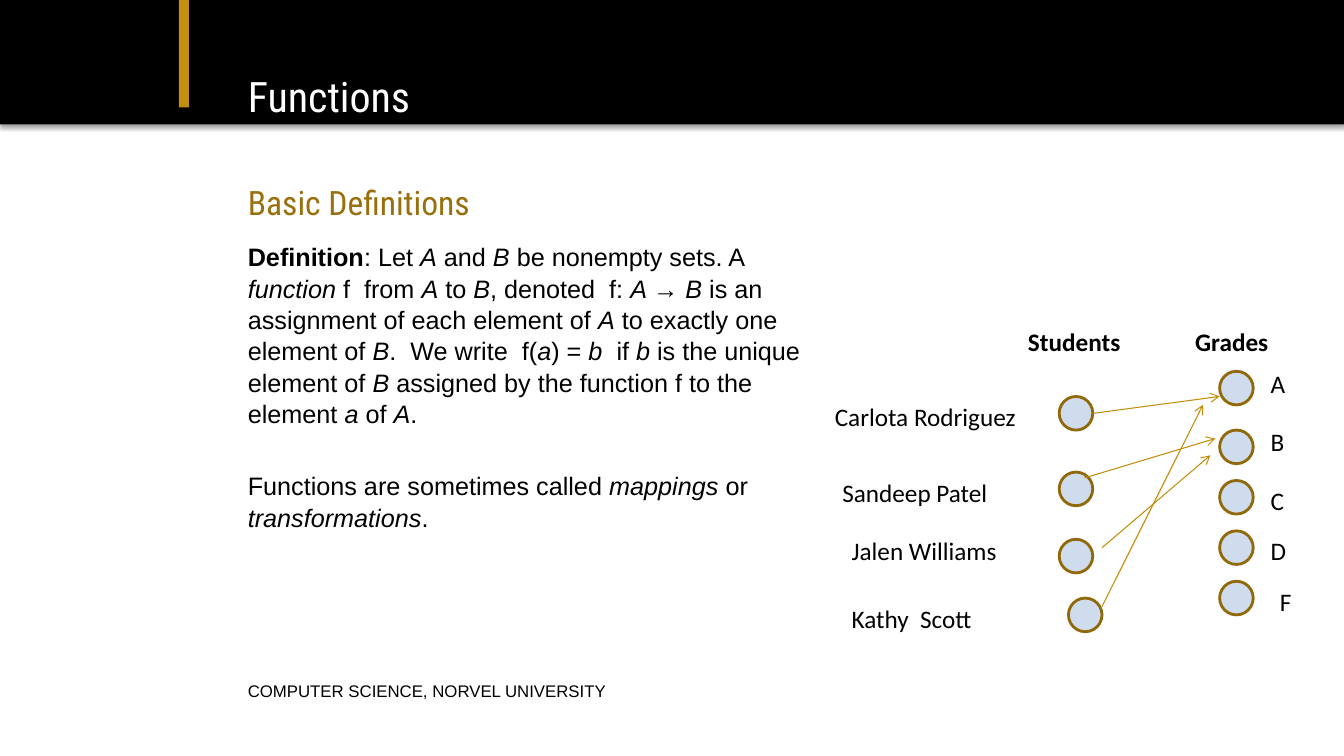
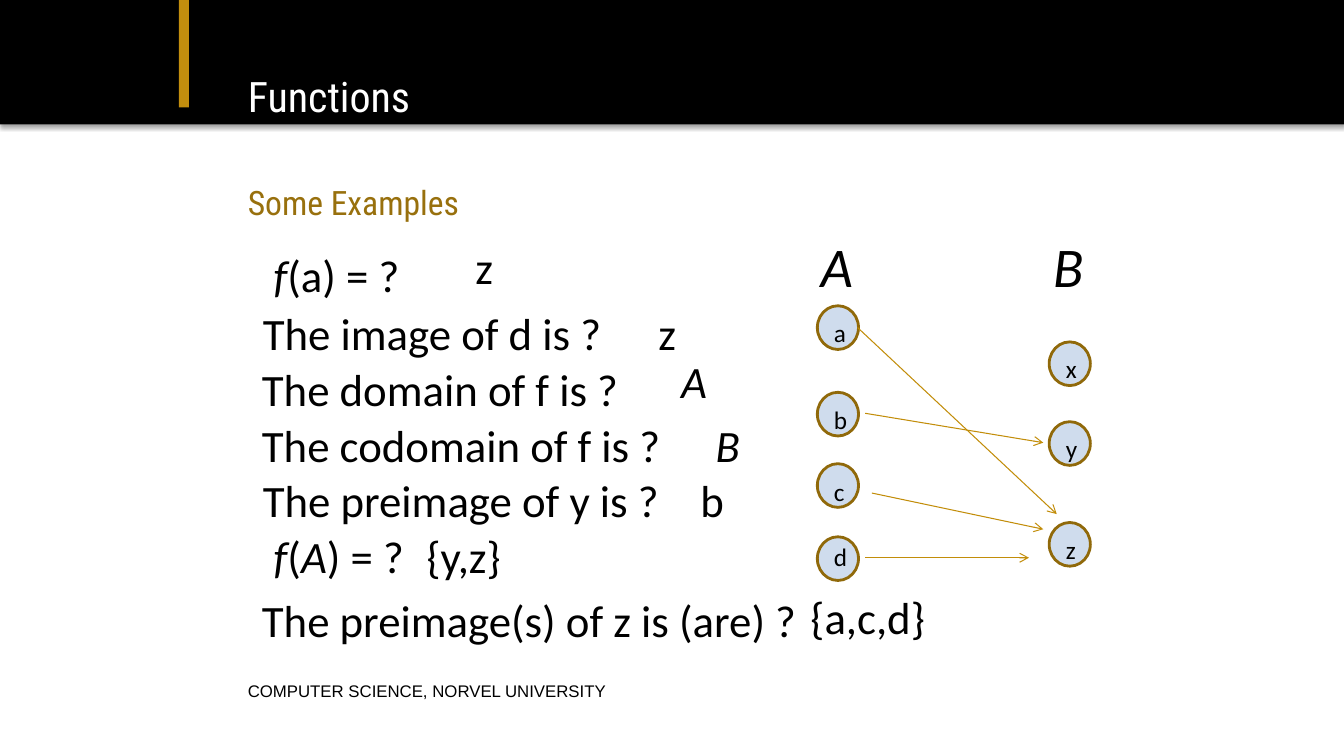
import lxml.etree
import pptx
import pptx.dml.color
import pptx.enum.shapes
import pptx.enum.text
import pptx.oxml.ns
import pptx.util

COLORS = {
    "black": "000000",
    "white": "FFFFFF",
    "gold": "C28E0E",
    "heading": "98700D",
    "node": "4F81BD",
    "outline": "90690A",
    "arrow": "C28D09",
}
COLUMNS, ROWS = 160, 90
FOOTER = "COMPUTER SCIENCE, NORVEL UNIVERSITY"
TITLE_FONT, BODY_FONT, DIAGRAM_FONT = "Roboto Condensed", "Arial", "Calibri"

DEFINITION = (
    "|Definition|: Let *A* and *B *be nonempty sets. A *function* f  from *A* to *B*, "
    "denoted  f: *A *→ *B *is an assignment of each element of *A* to exactly one "
    "element of *B*.  We write  f(*a*) = *b  *if *b* is the unique element of *B* "
    "assigned by the function f to the element *a* of *A*.\n"
    "Functions are sometimes called *mappings* or *transformations*."
)
STUDENTS = [
    ("Carlota Rodriguez", 98.2, 47.2, 126.1, 47.2),
    ("Sandeep Patel", 99.1, 56.2, 126.1, 56.2),
    ("Jalen Williams", 100.2, 63.2, 126.1, 64.2),
    ("Kathy  Scott", 100.2, 71.2, 127.2, 71.2),
]
GRADES = [
    ("A", 150.1, 43.2, 44.2),
    ("B", 150.1, 50.2, 51.2),
    ("C", 150.1, 57.2, 57.2),
    ("D", 150.1, 63.2, 63.2),
    ("F", 151.2, 69.2, 69.2),
]
GRADE_ARROWS = [
    (130.2, 49.2, 145.2, 47.2),
    (131.2, 65.2, 144.1, 54.2),
    (129.1, 56.9, 144.7, 52.2),
    (131.2, 72.2, 143.2, 48.2),
]
SETS = [
    ("A", 96.5, 97.3, [("a", 36.4, 0.8), ("b", 46.7, 0.8), ("c", 55.2, 0.9), ("d", 63.9, 0)]),
    ("B", 124.2, 124.9, [("x", 40.7, 0.8), ("y", 50.2, 0.8), ("z", 62.2, 0.8)]),
]
SET_ARROWS = [
    (103, 49.2, 124.2, 52.7),
    (102.1, 39, 125.8, 61.2),
    (103.8, 58.7, 124.2, 63),
    (103, 66.4, 122.5, 66.4),
]
QUESTIONS = [
    ("*f*(a) = ?", 31.4, 28.9, "z", 55.4, 28),
    ("The image of d is ?", 30.1, 35.8, "z", 77.2, 35.8),
    ("The domain of f is ?", 30, 42.5, "*A*", 79.9, 41.5),
    ("The codomain of f is ?", 30, 49.1, "*B*", 84, 49.1),
    ("The preimage of y is ?", 30.1, 55.7, "b", 82.2, 55.7),
    ("*f*(*A*) = ?", 31.4, 62.4, "{y,z}", 49.6, 62.3),
    ("The preimage(s) of z is (are) ?", 30, 70, "{a,c,d}", 95.3, 69.6),
]


def color(name):
    return pptx.dml.color.RGBColor.from_string(COLORS[name])


def add_xml(parent, tag, **attributes):
    return lxml.etree.SubElement(parent, pptx.oxml.ns.qn(tag), attributes)


def write_text(frame, text, size=18, font=DIAGRAM_FONT, ink="black", bold=False,
               line_spacing=None, gap=0):
    """Asterisks switch italics and bars switch bold."""
    for index, line in enumerate(text.split("\n")):
        paragraph = frame.add_paragraph() if index else frame.paragraphs[0]
        paragraph.line_spacing = line_spacing
        paragraph.space_before = pptx.util.Pt(gap if index else 0)
        for italic_index, part in enumerate(line.split("*")):
            for bold_index, piece in enumerate(part.split("|")):
                if not piece:
                    continue
                run = paragraph.add_run()
                run.text = piece
                run.font.size = pptx.util.Pt(size)
                run.font.name = font
                run.font.color.rgb = color(ink)
                run.font.bold = bold or bold_index % 2 == 1
                run.font.italic = italic_index % 2 == 1


class Deck:
    def __init__(self):
        self.presentation = pptx.Presentation()
        self.presentation.slide_width = pptx.util.Inches(13.33)
        self.presentation.slide_height = pptx.util.Inches(7.5)
        self.slide = None

    def x(self, columns):
        return round(self.presentation.slide_width * columns / COLUMNS)

    def y(self, rows):
        return round(self.presentation.slide_height * rows / ROWS)

    def box(self, left, top, width, height):
        return self.x(left), self.y(top), self.x(width), self.y(height)

    def add_slide(self, title, heading):
        self.slide = self.presentation.slides.add_slide(self.presentation.slide_layouts[6])
        self.band(0, 0, COLUMNS, 14.8, "black")
        self.band(21.3, 0, 1.2, 12.8, "gold")
        self.text(title, 29.5, 7.9, 106.7, 7, inset=False, middle=True,
                  size=30, font=TITLE_FONT, ink="white")
        self.text(heading, 29.5, 21.7, 106.8, 5.5, inset=False,
                  size=24, font=TITLE_FONT, ink="heading")
        self.text(FOOTER, 29.5, 80.8, 80.4, 2.9, inset=False, middle=True,
                  size=12, font=BODY_FONT)

    def shape(self, kind, left, top, width, height, fill):
        shape = self.slide.shapes.add_shape(kind, *self.box(left, top, width, height))
        shape.shadow.inherit = False
        shape.fill.solid()
        shape.fill.fore_color.rgb = color(fill)
        return shape

    def band(self, left, top, width, height, fill):
        kind = pptx.enum.shapes.MSO_SHAPE.RECTANGLE
        shape = self.shape(kind, left, top, width, height, fill)
        shape.line.fill.background()
        effects = shape._element.spPr.find(pptx.oxml.ns.qn("a:effectLst"))
        shadow = add_xml(effects, "a:outerShdw", blurRad=str(pptx.util.Pt(3.1)),
                         dist=str(pptx.util.Pt(1.8)), dir="5400000", rotWithShape="0")
        shade = add_xml(shadow, "a:srgbClr", val=COLORS["black"])
        add_xml(shade, "a:alpha", val="35000")

    def node(self, left, top, width=4, height=4):
        kind = pptx.enum.shapes.MSO_SHAPE.FLOWCHART_CONNECTOR
        shape = self.shape(kind, left, top, width, height, "node")
        tint = shape._element.spPr.find(".//" + pptx.oxml.ns.qn("a:srgbClr"))
        add_xml(tint, "a:alpha", val="27000")
        shape.line.color.rgb = color("outline")
        shape.line.width = pptx.util.Pt(2)

    def text(self, text, left, top, width, height=4.8, inset=True, middle=False, **style):
        shape = self.slide.shapes.add_textbox(*self.box(left, top, width, height))
        frame = shape.text_frame
        frame.word_wrap = True
        if not inset:
            frame.margin_left = frame.margin_right = 0
            frame.margin_top = frame.margin_bottom = 0
        anchors = pptx.enum.text.MSO_ANCHOR
        frame.vertical_anchor = anchors.MIDDLE if middle else anchors.TOP
        write_text(frame, text, **style)

    def arrow(self, start_x, start_y, end_x, end_y):
        connector = self.slide.shapes.add_connector(
            pptx.enum.shapes.MSO_CONNECTOR.STRAIGHT,
            self.x(start_x), self.y(start_y), self.x(end_x), self.y(end_y))
        connector.line.color.rgb = color("arrow")
        connector.line.width = pptx.util.Pt(0.75)
        properties = connector._element.spPr
        add_xml(properties.find(pptx.oxml.ns.qn("a:ln")), "a:tailEnd", type="arrow")
        add_xml(properties, "a:effectLst")


def build_definitions(deck):
    deck.add_slide("Functions", "Basic Definitions")
    deck.text(DEFINITION, 29.5, 28.6, 66.7, 57.6, inset=False,
              font=BODY_FONT, line_spacing=1.04, gap=29)
    deck.text("Students", 121.2, 38.2, 21, bold=True)
    deck.text("Grades", 141.1, 38.2, 14, bold=True)
    for name, left, top, node_left, node_top in STUDENTS:
        deck.node(node_left, node_top)
        deck.text(name, left, top, 28)
    for grade, left, top, node_top in GRADES:
        deck.node(145.2, node_top)
        deck.text(grade, left, top, 5)
    for arrow in GRADE_ARROWS:
        deck.arrow(*arrow)


def build_examples(deck):
    deck.add_slide("Functions", "Some Examples")
    for name, name_left, node_left, members in SETS:
        deck.text(f"*{name}*", name_left, 27, 7.3, 9.2, size=40)
        for member, top, drop in members:
            deck.node(node_left, top, 4.9, 5.2)
            deck.text(member, node_left + 0.8, top + drop, 4, 4.2)
    for arrow in SET_ARROWS:
        deck.arrow(*arrow)
    for question, left, top, answer, answer_left, answer_top in QUESTIONS:
        deck.text(question, left, top, 79, 7.7, size=32)
        deck.text(answer, answer_left, answer_top, 18, 7.7, size=32)


def main():
    deck = Deck()
    build_definitions(deck)
    build_examples(deck)
    deck.presentation.save("out.pptx")


if __name__ == "__main__":
    main()
